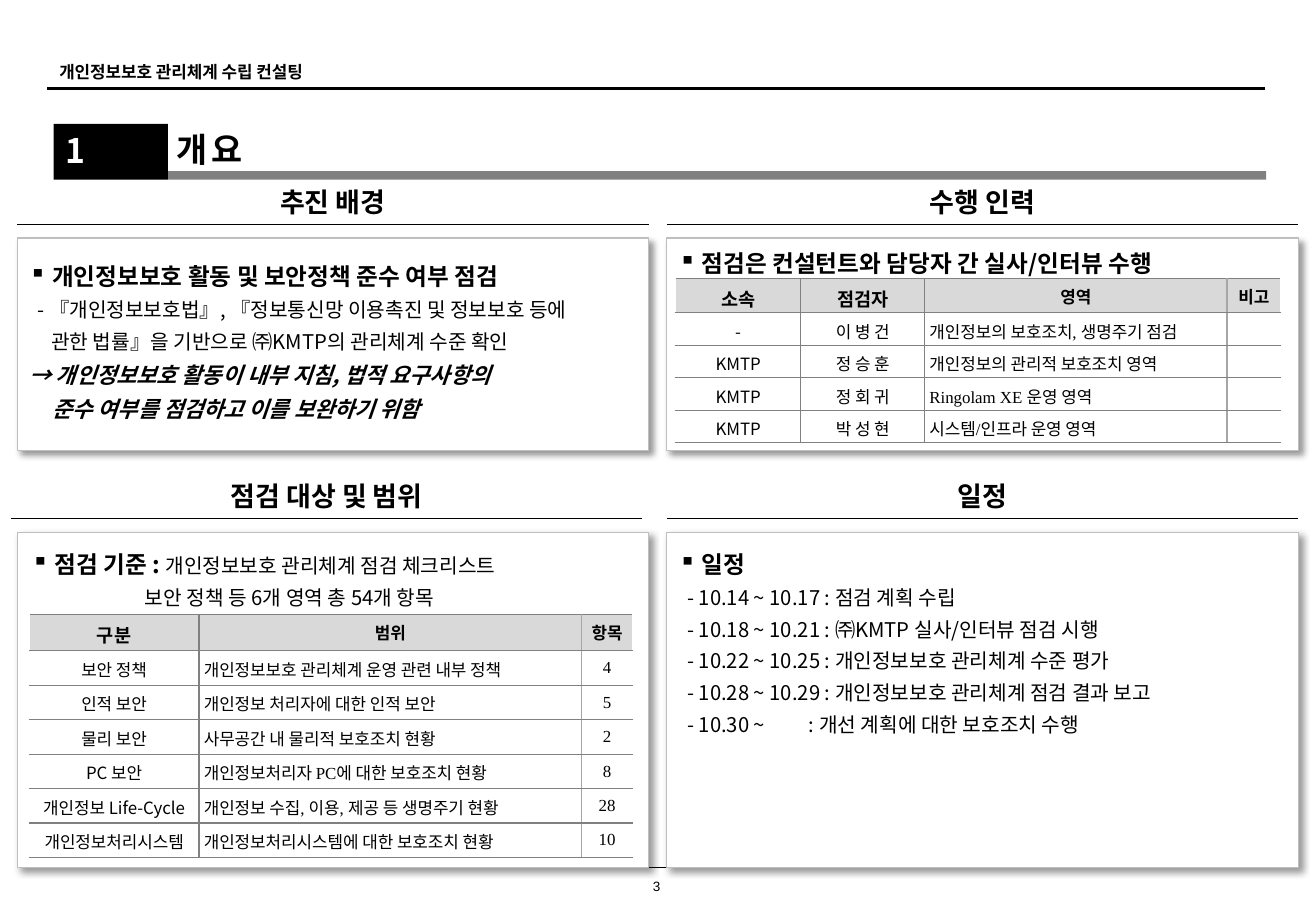
"""Builds the overview slide of a privacy management consulting report."""
import pptx
import pptx.dml.color
import pptx.enum.shapes
import pptx.enum.text
import pptx.oxml
import pptx.oxml.ns
import pptx.util
from lxml import etree

Cm, Pt = pptx.util.Cm, pptx.util.Pt
ALIGN = pptx.enum.text.PP_ALIGN
ANCHOR = pptx.enum.text.MSO_ANCHOR
SANS, SERIF, ARIAL = "Noto Sans CJK KR", "Times New Roman", "Arial"
BLACK, WHITE, GRAY, SILVER = "000000", "FFFFFF", "808080", "A6A6A6"

HEAD = dict(size=14, bold=True)
BODY = dict(size=12)
STRONG = dict(size=13, bold=True, italic=True)
BULLET = dict(left=0.48, indent=-0.48, bullet="▪")
DASH = dict(left=0.18)

HEADINGS = [
    ("추진 배경", 0.36, 3.76), ("수행 인력", 13.94, 3.76),
    ("점검 대상 및 범위", 0.23, 9.91), ("일정", 13.94, 9.91),
]
CARDS = [(0.36, 4.98, 4.45), (13.94, 4.98, 4.45), (0.36, 11.13, 7.01), (13.94, 11.13, 7.01)]
SCHEDULE = [
    "- 10.14 ~ 10.17 : 점검 계획 수립",
    "- 10.18 ~ 10.21 : ㈜KMTP 실사/인터뷰 점검 시행",
    "- 10.22 ~ 10.25 : 개인정보보호 관리체계 수준 평가",
    "- 10.28 ~ 10.29 : 개인정보보호 관리체계 점검 결과 보고",
    "- 10.30 ~\t: 개선 계획에 대한 보호조치 수행",
]
NOTES = [
    (0.36, 5.18, 3.81, [
        ([("개인정보보호 활동 및 보안정책 준수 여부 점검", HEAD)], BULLET),
        ([("- 『개인정보보호법』, 『정보통신망 이용촉진 및 정보보호 등에", BODY)], DASH),
        ([("관한 법률』을 기반으로 ㈜KMTP의 관리체계 수준 확인", BODY)], dict(left=0.46)),
        ([("→ 개인정보보호 활동이 내부 지침, 법적 요구사항의", STRONG)], {}),
        ([("준수 여부를 점검하고 이를 보완하기 위함", STRONG)], dict(left=0.49)),
    ]),
    (13.94, 4.9, 1.04, [([("점검은 컨설턴트와 담당자 간 실사/인터뷰 수행", HEAD)], BULLET)]),
    (0.41, 11.2, 1.63, [
        ([("점검 기준 : ", HEAD), ("개인정보보호 관리체계 점검 체크리스트", BODY)], BULLET),
        ([("보안 정책 등 6개 영역 총 54개 항목", BODY)], dict(left=2.37)),
    ]),
    (13.94, 11.2, 5.26, [([("일정", HEAD)], BULLET)]
     + [([(line, BODY)], dict(DASH, tab=2.65)) for line in SCHEDULE]),
]
STAFF = [
    ("소속", "점검자", "영역", "비고"),
    ("-", "이 병 건", "개인정보의 보호조치, 생명주기 점검", ""),
    ("KMTP", "정 승 훈", "개인정보의 관리적 보호조치 영역", ""),
    ("KMTP", "정 회 귀", "Ringolam XE 운영 영역", ""),
    ("KMTP", "박 성 현", "시스템/인프라 운영 영역", ""),
]
SCOPE = [
    ("구분", "범위", "항목"),
    ("보안 정책", "개인정보보호 관리체계 운영 관련 내부 정책", "4"),
    ("인적 보안", "개인정보 처리자에 대한 인적 보안", "5"),
    ("물리 보안", "사무공간 내 물리적 보호조치 현황", "2"),
    ("PC 보안", "개인정보처리자 PC에 대한 보호조치 현황", "8"),
    ("개인정보 Life-Cycle", "개인정보 수집, 이용, 제공 등 생명주기 현황", "28"),
    ("개인정보처리시스템", "개인정보처리시스템에 대한 보호조치 현황", "10"),
]
TABLES = [
    (STAFF, 14.12, 5.82, [2.62, 2.59, 6.32, 1.12], 0.7, 0.67),
    (SCOPE, 0.61, 12.85, [3.55, 8, 1.06], 0.76, 0.72),
]

deck = pptx.Presentation()
deck.slide_width, deck.slide_height = Cm(27.51), Cm(19.05)
page = deck.slides.add_slide(deck.slide_layouts[6])


def color(value):
    return pptx.dml.color.RGBColor.from_string(value)


def element(markup):
    return pptx.oxml.parse_xml(markup.replace(" ", f' {pptx.oxml.ns.nsdecls("a")} ', 1))


def style(span, size, bold=False, italic=False, font=SANS, shade=BLACK):
    span.font.size, span.font.bold, span.font.italic = Pt(size), bold, italic
    span.font.name = font
    span.font.color.rgb = color(shade)
    east = SANS if font == SERIF else font
    span.font._element.find(pptx.oxml.ns.qn("a:latin")).addnext(element(f'<a:ea typeface="{east}"/>'))


def layout(para, left=0, indent=0, bullet=None, tab=None):
    para.line_spacing = 1.3
    properties = para._p.get_or_add_pPr()
    properties.set("marL", str(Cm(left)))
    properties.set("indent", str(Cm(indent)))
    if bullet:
        properties.append(element(f'<a:buChar char="{bullet}"/>'))
    if tab:
        properties.append(element(f'<a:tabLst ><a:tab pos="{Cm(tab)}" algn="l"/></a:tabLst>'))


def add_text(left, top, width, height, text, align=ALIGN.LEFT, anchor=ANCHOR.TOP, **look):
    box = page.shapes.add_textbox(Cm(left), Cm(top), Cm(width), Cm(height))
    frame = box.text_frame
    frame.word_wrap, frame.vertical_anchor = True, anchor
    frame.text = text
    frame.paragraphs[0].alignment = align
    style(frame.paragraphs[0].runs[0], **look)
    return frame


def add_rectangle(left, top, width, height, fill, line=None):
    box = page.shapes.add_shape(pptx.enum.shapes.MSO_SHAPE.RECTANGLE, Cm(left), Cm(top), Cm(width), Cm(height))
    box.shadow.inherit = False
    box.fill.solid()
    box.fill.fore_color.rgb = color(fill)
    if line:
        box.line.color.rgb, box.line.width = color(line), Pt(0.75)
    else:
        box.line.fill.background()
    return box


def add_rule(left, right, top, weight):
    rule = page.shapes.add_connector(pptx.enum.shapes.MSO_CONNECTOR.STRAIGHT, Cm(left), Cm(top), Cm(right), Cm(top))
    rule.line.color.rgb, rule.line.width = color(BLACK), Pt(weight)
    etree.SubElement(rule._element.spPr, pptx.oxml.ns.qn("a:effectLst"))


def add_note(left, top, height, lines):
    box = page.shapes.add_textbox(Cm(left), Cm(top), Cm(13.1), Cm(height))
    box.text_frame.word_wrap = True
    for number, (spans, shape) in enumerate(lines):
        para = box.text_frame.add_paragraph() if number else box.text_frame.paragraphs[0]
        layout(para, **shape)
        for text, look in spans:
            span = para.add_run()
            span.text = text
            style(span, **look)


def set_borders(cell, column, last):
    def upright(edge):
        if edge in (0, last + 1):
            return WHITE, 0.75
        return (SILVER, 1) if edge == last else (GRAY, 0.75)

    sides = [("L", upright(column)), ("R", upright(column + 1)), ("T", (GRAY, 0.75)), ("B", (GRAY, 0.75))]
    for place, (side, (shade, weight)) in enumerate(sides):
        cell._tc.get_or_add_tcPr().insert(place, element(
            f'<a:ln{side} w="{Pt(weight)}"><a:solidFill><a:srgbClr val="{shade}"/></a:solidFill></a:ln{side}>'))


def add_grid(rows, left, top, widths, header_height, row_height):
    heights = [header_height] + [row_height] * (len(rows) - 1)
    grid = page.shapes.add_table(len(rows), len(widths), Cm(left), Cm(top), Cm(sum(widths)), Cm(sum(heights))).table
    grid.first_row = grid.horz_banding = False
    last = len(widths) - 1
    for column, width in enumerate(widths):
        grid.columns[column].width = Cm(width)
    for row, texts in enumerate(rows):
        grid.rows[row].height = Cm(heights[row])
        for column, text in enumerate(texts):
            cell = grid.cell(row, column)
            cell.margin_left = cell.margin_right = Cm(0.1)
            cell.fill.solid()
            cell.fill.fore_color.rgb = color(WHITE if row else "D9D9D9")
            set_borders(cell, column, last)
            if row and column == last:
                cell.vertical_anchor = ANCHOR.MIDDLE
            cell.text_frame.text = text
            para = cell.text_frame.paragraphs[0]
            para.alignment = ALIGN.LEFT if row and column == last - 1 else ALIGN.CENTER
            serif = column >= last - 1
            for span in para.runs:
                style(span, 10 if row or serif else 11, bold=row == 0, font=SERIF if serif else SANS)
            if not text:
                para._p.append(element('<a:endParaRPr sz="1000"/>'))


add_rule(0.99, 26.44, 1.85, 1.25)
add_text(0.99, 1.17, 6.3, 0.69, "개인정보보호 관리체계 수립 컨설팅", size=10, bold=True)
number_frame = add_text(13.31, 18.36, 0.84, 0.36, "3", ALIGN.CENTER, ANCHOR.MIDDLE, size=8, font=ARIAL)
number_frame.margin_left = number_frame.margin_right = number_frame.margin_top = number_frame.margin_bottom = 0
add_rule(0.99, 26.54, 18.14, 1)

add_rectangle(3.51, 3.58, 22.96, 0.18, GRAY)
chapter = add_rectangle(1.12, 2.59, 2.39, 1.17, BLACK).text_frame
chapter.text, chapter.vertical_anchor = "1", ANCHOR.TOP
chapter.paragraphs[0].alignment = ALIGN.LEFT
style(chapter.paragraphs[0].runs[0], 20, bold=True, shade=WHITE)
title = add_text(3.51, 2.64, 13.92, 0.94, "개 요", anchor=ANCHOR.MIDDLE, size=20, bold=True)
title.margin_left = Cm(0.18)
title.paragraphs[0].runs[0].font._element.set("spc", "-120")

for left, top, height in CARDS:
    card = add_rectangle(left, top, 13.2, height, WHITE, "BFBFBF")
    effects = card._element.spPr.find(pptx.oxml.ns.qn("a:effectLst"))
    effects.append(element(
        f'<a:outerShdw blurRad="{Pt(4)}" dist="{Pt(3)}" dir="2700000" algn="tl" rotWithShape="0">'
        f'<a:srgbClr val="{BLACK}"><a:alpha val="40000"/></a:srgbClr></a:outerShdw>'))
for text, left, top in HEADINGS:
    add_text(left, top, 13.2, 0.94, text, ALIGN.CENTER, size=16, bold=True)
    add_rule(left, left + 13.2, top + 0.94, 0.75)
for note in NOTES:
    add_note(*note)
for table in TABLES:
    add_grid(*table)

deck.save("out.pptx")
